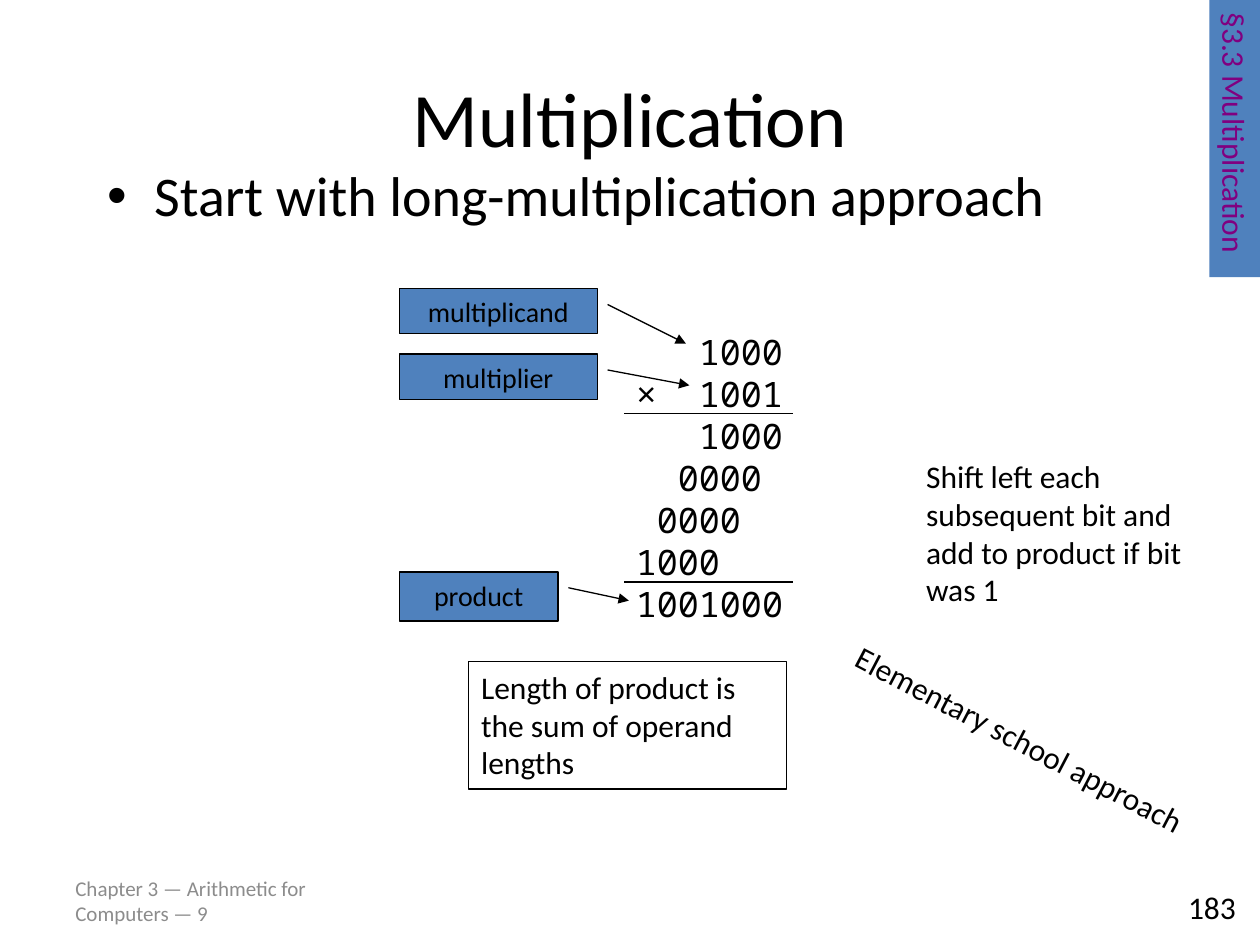
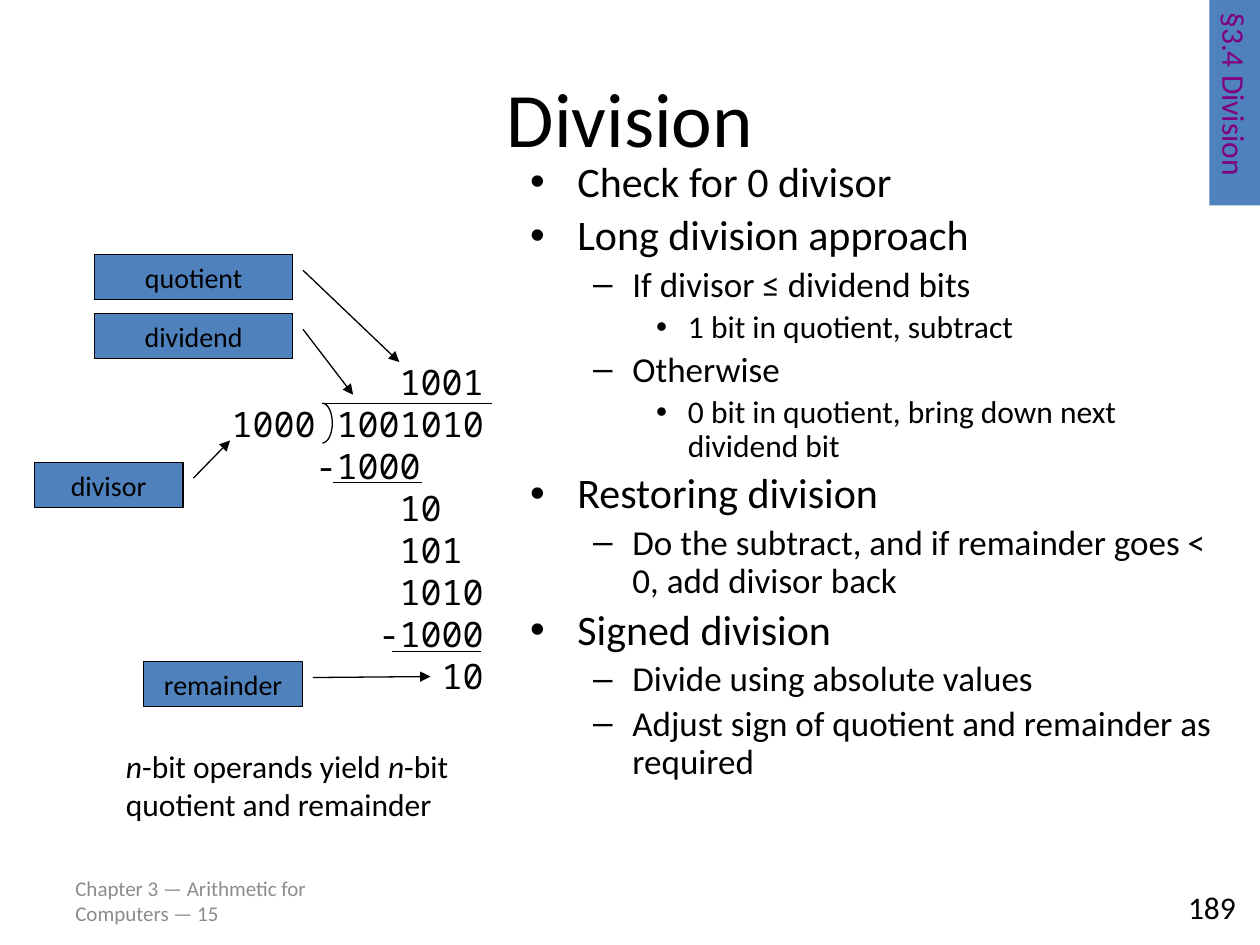
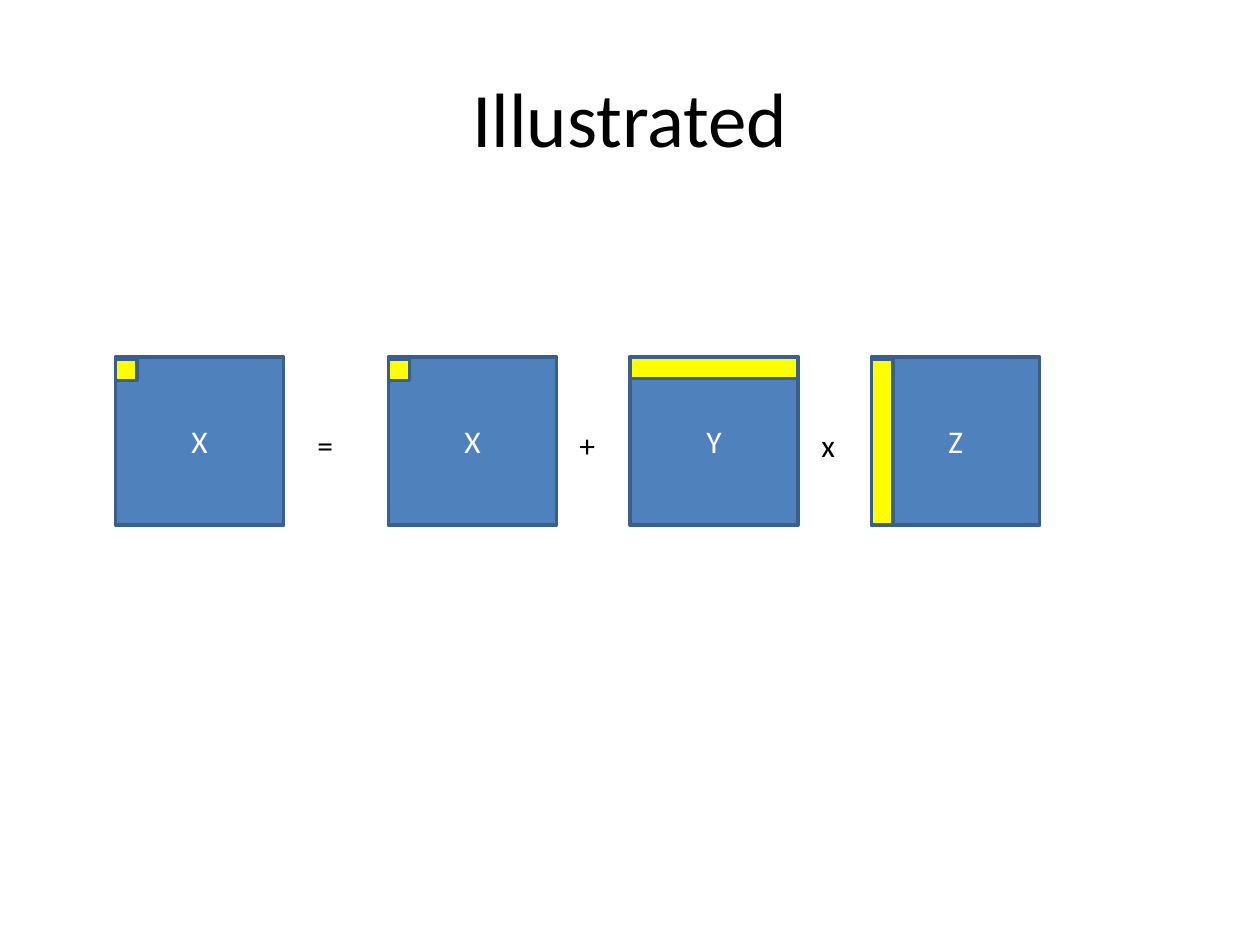
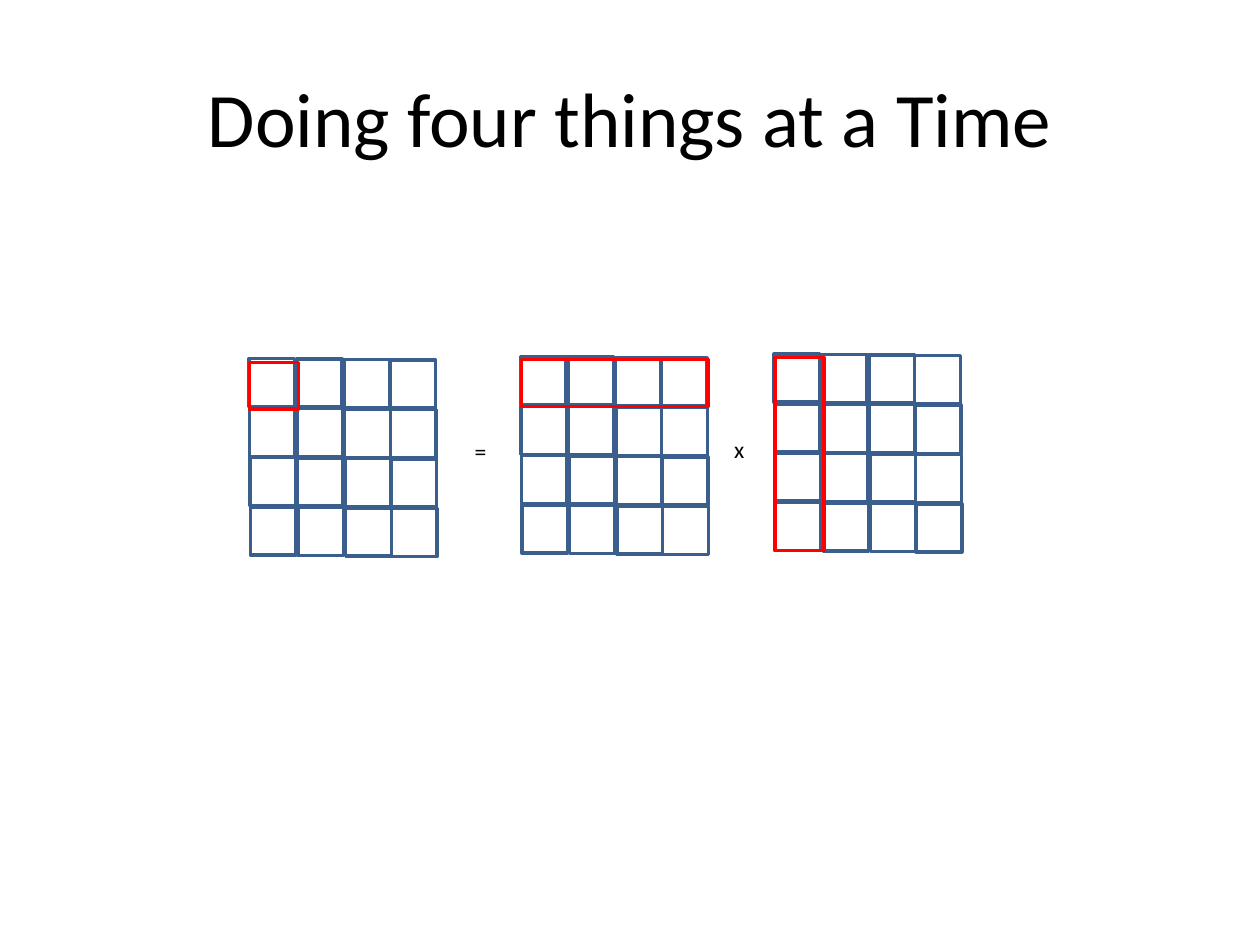
from math import cos, pi, sin

from lxml.etree import SubElement
from pptx import Presentation
from pptx.dml.color import RGBColor
from pptx.enum.shapes import MSO_CONNECTOR, MSO_SHAPE
from pptx.enum.text import MSO_ANCHOR, MSO_AUTO_SIZE, PP_ALIGN
from pptx.oxml.ns import qn
from pptx.util import Cm, Pt

COLORS = {"black": "000000", "white": "FFFFFF", "grey": "8C8C8C", "blue": "4F81BD",
          "edge": "3A5F8C", "yellow": "FFFF00", "red": "FF0000", "purple": "800080"}
TEXT_FONT, DIGIT_FONT = "Calibri", "Noto Sans Mono"
WIDTH, HEIGHT = 25.4, 19.05
DIGIT_STEP = 2.54 / 6  # width of one 20 pt digit
THIN, THICK = 0.75, 2

# Bullet levels: left margin, hanging indent, symbol
LEVELS = [(0.95, -0.95, "•"), (2.06, -0.79, "–"), (3.18, -0.64, "•")]


def rgb(name):
    return RGBColor.from_string(COLORS[name])


def assign(target, **values):
    for name, value in values.items():
        setattr(target, name, value)


class SlideBuilder:
    def __init__(self):
        self.deck = Presentation()
        assign(self.deck, slide_width=Cm(WIDTH), slide_height=Cm(HEIGHT))
        self.page = None

    def new_page(self, title):
        self.page = self.deck.slides.add_slide(self.deck.slide_layouts[6])
        self.text((1.27, 0.76, 22.86, 3.18), title, size=44, align=PP_ALIGN.CENTER,
                  anchor=MSO_ANCHOR.MIDDLE)

    # Text
    def put_text(self, box, lines, size=18, color="black", font=TEXT_FONT,
                 align=PP_ALIGN.LEFT, anchor=MSO_ANCHOR.TOP, wrap=True, grow=False):
        """Each line is a string or a list of (text, italic) spans."""
        frame = box.text_frame
        assign(frame, word_wrap=wrap, vertical_anchor=anchor,
               auto_size=MSO_AUTO_SIZE.SHAPE_TO_FIT_TEXT if grow else MSO_AUTO_SIZE.NONE)
        for index, line in enumerate([lines] if isinstance(lines, str) else lines):
            para = frame.add_paragraph() if index else frame.paragraphs[0]
            para.alignment = align
            for text, italic in [(line, False)] if isinstance(line, str) else line:
                if text == "\n":
                    para.add_line_break()
                    continue
                span = para.add_run()
                span.text = text
                assign(span.font, name=font, size=Pt(size), italic=italic)
                span.font.color.rgb = rgb(color)

    def text(self, place, lines, turn=0, **style):
        box = self.page.shapes.add_textbox(*map(Cm, place))
        box.rotation = turn
        self.put_text(box, lines, **style)
        return box

    def note(self, place, lines, **style):
        return self.text(place, lines, wrap=False, grow=True, **style)

    def bullets(self, place, items, sizes, spacing=1.0):
        box = self.text(place, [text for _, text in items])
        for para, (level, _) in zip(box.text_frame.paragraphs, items):
            margin, hanging, symbol = LEVELS[level]
            size = sizes[level]
            assign(para, level=level, line_spacing=spacing, space_before=Pt(size * 0.2))
            para.runs[0].font.size = Pt(size)
            props = para._p.get_or_add_pPr()
            props.set("marL", str(Cm(margin)))
            props.set("indent", str(Cm(hanging)))
            SubElement(props, qn("a:buFont"), typeface="Arial")
            SubElement(props, qn("a:buChar"), char=symbol)

    def digits(self, place, rows):
        """Rows are (column, text); a tab in the text leads to column 3."""
        box = self.text(place, [text for _, text in rows], size=20, font=DIGIT_FONT)
        box.text_frame.margin_right = 0
        for para, (column, text) in zip(box.text_frame.paragraphs, rows):
            props = para._p.get_or_add_pPr()
            props.set("marL", str(Cm(column * DIGIT_STEP)))
            props.set("indent", "0")
            if "\t" in text:
                stops = SubElement(props, qn("a:tabLst"))
                SubElement(stops, qn("a:tab"), pos=str(Cm(3 * DIGIT_STEP)), algn="l")
        return box

    # Shapes and lines
    def paint(self, box, fill, line, width):
        box.shadow.inherit = False
        if fill:
            box.fill.solid()
            box.fill.fore_color.rgb = rgb(fill)
        else:
            box.fill.background()
        if line:
            box.line.color.rgb = rgb(line)
            box.line.width = Pt(width)
        else:
            box.line.fill.background()

    def shape(self, place, fill=None, line="edge", width=THICK, kind=MSO_SHAPE.RECTANGLE):
        box = self.page.shapes.add_shape(kind, *map(Cm, place))
        self.paint(box, fill, line, width)
        return box

    def callout(self, place, label, tip):
        left, top, width, height = place
        box = self.shape(place, "blue", "black", THIN, MSO_SHAPE.LINE_CALLOUT_1)
        values = (0.32 / height, 1 + 0.21 / width,
                  (tip[1] - top) / height, (tip[0] - left) / width)
        for index, value in enumerate(values):
            box.adjustments[index] = value
        SubElement(box.line._get_or_add_ln(), qn("a:tailEnd"), type="triangle")
        self.put_text(box, label, size=16, align=PP_ALIGN.CENTER)

    def rule(self, start, end, y):
        line = self.page.shapes.add_connector(
            MSO_CONNECTOR.STRAIGHT, Cm(start), Cm(y), Cm(end), Cm(y))
        line.line.color.rgb = rgb("black")
        line.line.width = Pt(THIN)
        SubElement(line._element.spPr, qn("a:effectLst"))
        return line

    def quarter_arc(self, x, y, across, down, first):
        """Quarter of an ellipse around x, y, from the angle first on."""
        points = [(Cm(x + across * cos(angle)), Cm(y + down * sin(angle)))
                  for angle in (first + pi / 2 * step / 8 for step in range(9))]
        outline = self.page.shapes.build_freeform(*points[0])
        outline.add_line_segments(points[1:], close=False)
        self.paint(outline.convert_to_shape(), None, "black", THIN)

    # Parts shared by the chapter pages
    def chapter_parts(self, section, tab_length, footer, number):
        self.text((1.27, 17.65, 5.92, 1.02), footer, size=12, color="grey",
                  anchor=MSO_ANCHOR.MIDDLE)
        thick = 1.02
        tab = self.shape((WIDTH - (thick + tab_length) / 2, (tab_length - thick) / 2,
                          tab_length, thick), "blue", None)
        tab.rotation = 90
        self.put_text(tab, section, color="purple", wrap=False, grow=True)
        self.note((23.7, 17.78, 1.5, 1.02), number)


def multiplication(builder):
    builder.new_page("Multiplication")
    builder.chapter_parts("§3.3 Multiplication", 5.59,
                          "Chapter 3 — Arithmetic for Computers — 9", "183")
    builder.bullets((1.91, 3.12, 22.99, 2.13),
                    [(0, "Start with long-multiplication approach")], [32])
    # Worked sum
    sum_parts = [builder.digits((12.57, 6.53, 3.48, 6.17), [
        (3, "1000"), (0, "×\t1001"), (3, "1000"), (2, "0000"),
        (1, "0000"), (0, "1000"), (0, "1001000")])]
    sum_parts += [builder.rule(15.98, 12.57, y) for y in (8.33, 11.73)]
    builder.page.shapes.add_group_shape(sum_parts)
    # Labels
    for label, top, width, height, tip in [
            ("multiplicand", 5.82, 3.99, 0.91, (13.83, 6.93)),
            ("multiplier", 7.14, 3.99, 0.91, (13.9, 7.77)),
            ("product", 11.53, 3.2, 0.99, (12.68, 12.11))]:
        builder.callout((8.05, top, width, height), label, tip)
    # Remarks
    length_box = builder.shape((9.45, 13.34, 6.4, 2.57), None, "black", THIN)
    builder.put_text(length_box, "Length of product is the sum of operand lengths",
                     grow=True)
    builder.text((18.42, 9.09, 6.48, 3.33),
                 "Shift left each subsequent bit and add to product if bit was 1", grow=True)
    builder.note((16.64, 14.4, 7.87, 1.02), "Elementary school approach", turn=27.6)


def division(builder):
    builder.new_page("Division")
    builder.chapter_parts("§3.4 Division", 4.14,
                          "Chapter 3 — Arithmetic for Computers — 15", "189")
    builder.bullets((10.44, 3.12, 14.45, 14.2), [
        (0, "Check for 0 divisor"),
        (0, "Long division approach"),
        (1, "If divisor ≤ dividend bits"),
        (2, "1 bit in quotient, subtract"),
        (1, "Otherwise"),
        (2, "0 bit in quotient, bring down next dividend bit"),
        (0, "Restoring division"),
        (1, "Do the subtract, and if remainder goes < 0, add divisor back"),
        (0, "Signed division"),
        (1, "Divide using absolute values"),
        (1, "Adjust sign of quotient and remainder as required")], [24, 20, 18], 0.9)
    # Worked division
    builder.digits((4.42, 7.14, 5.59, 7.04), [
        (8, "1001"), (0, "1000 1001010"), (4, "-1000"), (8, "10"),
        (8, "101"), (8, "1010"), (7, "-1000"), (10, "10")])
    for start, end, y in [(9.91, 6.5, 8.13), (8.51, 6.71, 9.73), (9.7, 7.9, 13.13)]:
        builder.rule(start, end, y)
    for first in (-pi / 2, 0):
        builder.quarter_arc(6.5, 8.53, 0.2, 0.4, first)
    # Labels
    for label, left, top, width, tip in [
            ("quotient", 1.91, 5.13, 3.99, (8.05, 7.3)),
            ("dividend", 1.91, 6.32, 3.99, (7.12, 7.96)),
            ("remainder", 2.9, 13.34, 3.2, (8.68, 13.64)),
            ("divisor", 0.69, 9.32, 3, (4.64, 8.88))]:
        builder.callout((left, top, width, 0.91), label, tip)
    builder.note((2.29, 14.94, 7.47, 1.78), [[
        ("n", True), ("-bit operands yield ", False), ("n", True), ("-bit", False),
        ("\n", False), ("quotient and remainder", False)]])


def illustrated(builder):
    builder.new_page("Illustrated")
    top, side, strip = 7.2, 3.39, 0.43
    lefts = (2.33, 7.83, 12.7, 17.57)
    # Matrices and operators
    for left, name in zip(lefts, "XXYZ"):
        matrix = builder.shape((left, top, side, side), "blue")
        builder.put_text(matrix, name, color="white", align=PP_ALIGN.CENTER,
                         anchor=MSO_ANCHOR.MIDDLE)
    for left, sign in [(6.15, "="), (11.43, "+"), (16.31, "x")]:
        builder.note((left, 8.47, 0.82, 1.02), sign)
    # Highlighted cells, row and column
    for left, drop, width, height in zip(lefts, (0.04, 0.04, 0, 0.04),
                                         (strip, strip, side, strip),
                                         (strip, strip, strip, side - 0.04)):
        builder.shape((left, top + drop, width, height), "yellow")


def four_at_a_time(builder):
    builder.new_page("Doing four things at a Time")
    columns, rows, skew = (0, 0.96, 1.92, 2.84), (0, 1, 1.99, 2.99), 0.01
    # Grids, slightly skewed
    for left, top in [(5.02, 7.23), (10.49, 7.19), (15.6, 7.14)]:
        for row, down in enumerate(rows):
            for column, across in enumerate(columns):
                builder.shape((left + across + skew * row, top + down + skew * column,
                               0.92, 0.97))
    for left, top, sign in [(9.32, 8.69, "="), (14.55, 8.64, "x")]:
        builder.note((left, top, 0.74, 0.84), sign, size=13.5)
    # Highlighted row, column and cell
    for place in [(10.51, 7.25, 3.76, 0.95), (15.62, 7.21, 0.99, 3.89),
                  (5.03, 7.31, 0.99, 0.94)]:
        builder.shape(place, line="red")


def main():
    builder = SlideBuilder()
    for build in (multiplication, division, illustrated, four_at_a_time):
        build(builder)
    builder.deck.save("out.pptx")


if __name__ == "__main__":
    main()
